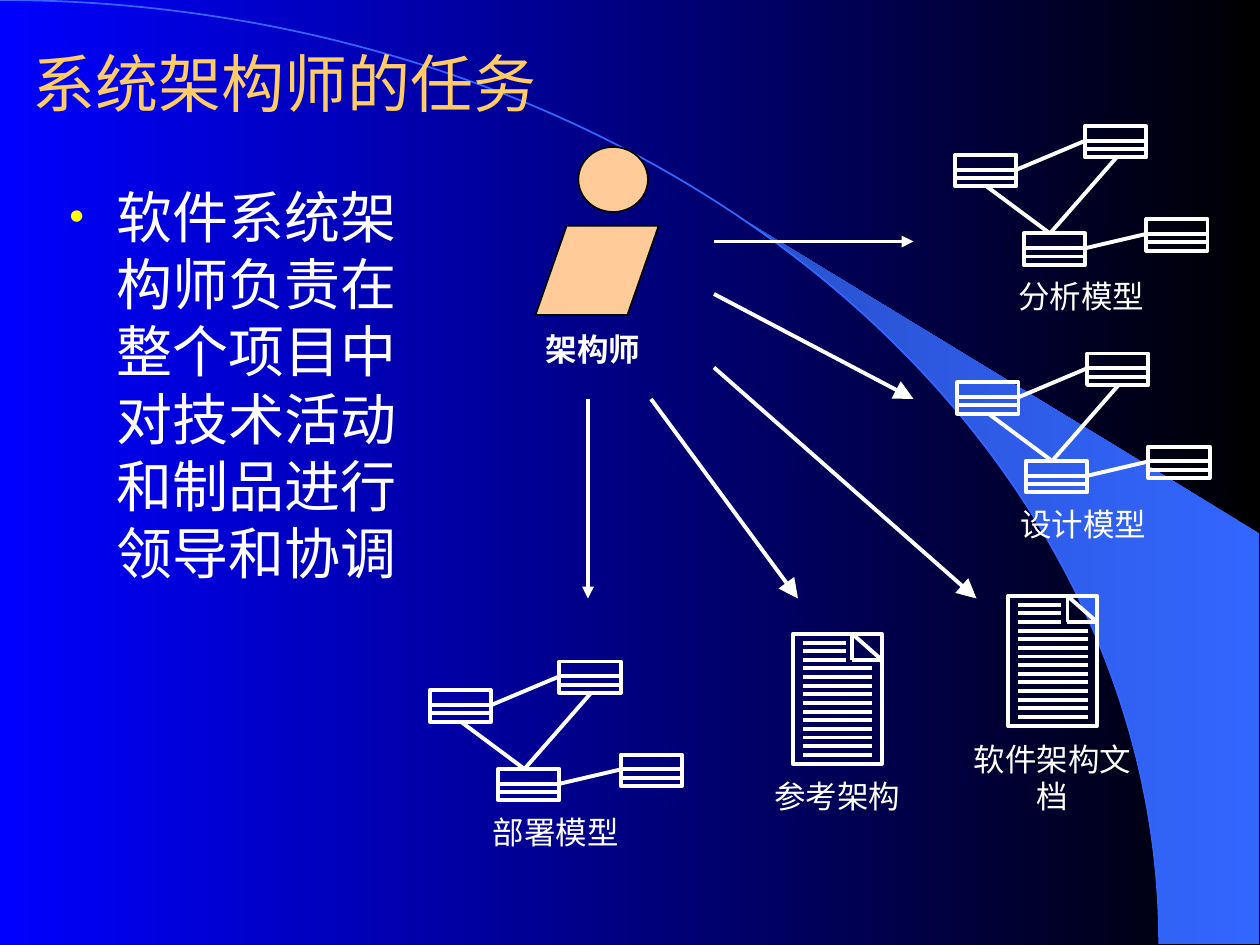
from math import asin, cos, pi, sin

from lxml.etree import SubElement
from pptx import Presentation
from pptx.dml.color import RGBColor
from pptx.enum.shapes import MSO_CONNECTOR, MSO_SHAPE
from pptx.enum.text import MSO_ANCHOR, MSO_AUTO_SIZE, PP_ALIGN
from pptx.oxml.ns import qn
from pptx.util import Pt

WHITE = RGBColor(0xFF, 0xFF, 0xFF)
BLACK = RGBColor(0x00, 0x00, 0x00)
BLUE = RGBColor(0x00, 0x00, 0xFF)
SKY = RGBColor(0x33, 0x66, 0xFF)
SKY_DARK = RGBColor(0x28, 0x51, 0xCC)
GOLD = RGBColor(0xFF, 0xCC, 0x66)
SKIN = RGBColor(0xFF, 0xCC, 0x99)
YELLOW = RGBColor(0xFF, 0xFF, 0x00)

SLIDE_WIDTH, SLIDE_HEIGHT = 720, 540
STROKE = 2.25
LABEL_WIDTH, LABEL_HEIGHT = 122, 28.8
MODEL_WIDTH = 144
NODE_WIDTH, NODE_HEIGHT, NODE_DIVIDERS = 35, 18, (8.5, 13.2)
PAGE_WIDTH, PAGE_HEIGHT = 51, 74.2


def set_gradient(fill, start, end):
    """Blend from start on the right to end on the left."""
    fill.gradient()
    fill.gradient_angle = 180
    for stop, color in zip(fill.gradient_stops, (start, end)):
        stop.color.rgb = color


def add_outline(shapes, kind, left, top, width, height, fill=None, line=WHITE, weight=STROKE):
    shape = shapes.add_shape(kind, Pt(left), Pt(top), Pt(width), Pt(height))
    shape.shadow.inherit = False
    if fill is None:
        shape.fill.background()
    else:
        shape.fill.solid()
        shape.fill.fore_color.rgb = fill
    shape.line.color.rgb = line
    shape.line.width = Pt(weight)
    return shape


def add_line(shapes, x1, y1, x2, y2, head=None):
    """Draw a white line; head is the arrowhead size, 'med' or 'lg'."""
    line = shapes.add_connector(MSO_CONNECTOR.STRAIGHT, Pt(x1), Pt(y1), Pt(x2), Pt(y2))
    line.line.color.rgb = WHITE
    line.line.width = Pt(STROKE)
    properties = line._element.spPr
    if head:
        SubElement(properties.find(qn("a:ln")), qn("a:tailEnd"), type="triangle", w=head, len=head)
    SubElement(properties, qn("a:effectLst"))


def add_label(shapes, text, center, top, bold=False):
    box = shapes.add_textbox(Pt(center - LABEL_WIDTH / 2), Pt(top), Pt(LABEL_WIDTH), Pt(LABEL_HEIGHT))
    box.text_frame.word_wrap = False
    paragraph = box.text_frame.paragraphs[0]
    paragraph.text = text
    paragraph.alignment = PP_ALIGN.CENTER
    paragraph.font.name = "Arial"
    paragraph.font.size = Pt(18)
    paragraph.font.bold = bold
    paragraph.font.color.rgb = WHITE


def place_text(placeholder, text, left, top, width, height, font, size, color):
    placeholder.left, placeholder.top = Pt(left), Pt(top)
    placeholder.width, placeholder.height = Pt(width), Pt(height)
    frame = placeholder.text_frame
    frame.word_wrap = True
    frame.auto_size = MSO_AUTO_SIZE.NONE
    frame.text = text
    paragraph = frame.paragraphs[0]
    paragraph.alignment = PP_ALIGN.LEFT
    paragraph.space_before = Pt(0)
    paragraph.font.name = font
    paragraph.font.size = Pt(size)
    paragraph.font.color.rgb = color
    return frame


def add_title(slide, left, top, width, height):
    frame = place_text(slide.shapes.title, "系统架构师的任务", left, top, width, height, "Arial Narrow", 36, GOLD)
    frame.vertical_anchor = MSO_ANCHOR.MIDDLE


def add_body(slide, left, top, width, height):
    text = "软件系统架构师负责在整个项目中对技术活动和制品进行领导和协调"
    frame = place_text(slide.placeholders[1], text, left, top, width, height, "Times New Roman", 32, WHITE)
    frame.margin_left = frame.margin_right = Pt(8.6)
    frame.margin_top = frame.margin_bottom = Pt(4.3)
    properties = frame.paragraphs[0]._p.get_or_add_pPr()
    properties.set("marL", str(Pt(27)))
    properties.set("indent", str(Pt(-27)))
    bullet_color = SubElement(properties, qn("a:buClr"))
    SubElement(bullet_color, qn("a:srgbClr"), val=str(YELLOW))
    SubElement(properties, qn("a:buSzPct"), val="75000")
    SubElement(properties, qn("a:buChar"), char="•")
    # Bullet elements come before the default run properties.
    defaults = properties.find(qn("a:defRPr"))
    if defaults is not None:
        properties.append(defaults)


def add_backdrop(slide, radius_x, radius_y):
    """Draw the quarter ellipse and the wedge that lies outside it, behind everything else."""
    set_gradient(slide.background.fill, BLACK, BLUE)
    first_angle, steps = asin(424 / radius_x), 24
    angles = [first_angle + (pi / 2 - first_angle) * step / steps for step in range(steps + 1)]
    curve = [(Pt(radius_x * sin(angle)), Pt(radius_y * (1 - cos(angle)))) for angle in angles]
    builder = slide.shapes.build_freeform(*curve[0])
    builder.add_line_segments(curve[1:] + [(Pt(719.3), Pt(radius_y)), (Pt(719.3), Pt(304.6))])
    wedge = builder.convert_to_shape()
    wedge.shadow.inherit = False
    wedge.line.fill.background()
    set_gradient(wedge.fill, SKY, SKY_DARK)
    arc = add_outline(slide.shapes, MSO_SHAPE.ARC, -radius_x, 0, 2 * radius_x, 2 * radius_y, line=SKY, weight=1)
    tree = slide.shapes._spTree
    for position, shape in enumerate((wedge, arc), start=2):
        tree.insert(position, shape._element)


def add_architect(slide, left, top):
    shapes = slide.shapes.add_group_shape().shapes
    add_outline(shapes, MSO_SHAPE.OVAL, left + 24.5, top, 39.8, 37.2, SKIN, BLACK, 1)
    torso = add_outline(shapes, MSO_SHAPE.PARALLELOGRAM, left, top + 45, 70.4, 51, SKIN, BLACK, 1)
    torso.adjustments[0] = 0.35
    add_label(slide.shapes, "架构师", left + 33, top + 100.8, bold=True)


def add_model(slide, label, left, top):
    shapes = slide.shapes.add_group_shape().shapes
    nodes = [(left + x, top + y) for x, y in ((0, 16.5), (74.2, 0), (39.2, 61.4), (109.2, 53.2))]
    for x, y in nodes:
        add_outline(shapes, MSO_SHAPE.RECTANGLE, x, y, NODE_WIDTH, NODE_HEIGHT)
        for offset in NODE_DIVIDERS:
            add_line(shapes, x, y + offset, x + NODE_WIDTH, y + offset)
    west, north, south, east = nodes
    for (x1, y1), (x2, y2) in ((west, north), (south, east)):
        add_line(shapes, x1 + NODE_WIDTH, y1 + NODE_DIVIDERS[0], x2, y2 + NODE_DIVIDERS[0])
    for x, y in (west, north):
        add_line(shapes, south[0] + 15, south[1], x + NODE_WIDTH / 2 + 0.5, y + NODE_HEIGHT)
    add_label(shapes, label, left + MODEL_WIDTH / 2, top + 82.8)


def add_document(slide, label, left, top):
    shapes = slide.shapes.add_group_shape().shapes
    add_outline(shapes, MSO_SHAPE.RECTANGLE, left, top, PAGE_WIDTH, PAGE_HEIGHT)
    fold_left, fold_bottom, right = left + 34, top + 15, left + PAGE_WIDTH
    add_line(shapes, fold_left, top, right, fold_bottom)
    add_line(shapes, fold_left, top, fold_left, fold_bottom)
    add_line(shapes, right, fold_bottom, fold_left, fold_bottom)
    for row in range(14):
        y = top + 5 + 4.93 * row
        add_line(shapes, left + 5.8, y, left + (30.5 if row < 3 else 45.5), y)
    add_label(shapes, label, left + PAGE_WIDTH / 2, top + 78.5)


def main():
    presentation = Presentation()
    presentation.slide_width, presentation.slide_height = Pt(SLIDE_WIDTH), Pt(SLIDE_HEIGHT)
    slide = presentation.slides.add_slide(presentation.slide_layouts[1])
    add_backdrop(slide, 662.4, 539.3)
    add_title(slide, 11.5, 26, 708, 42)
    add_body(slide, 31, 100, 228, 397)
    add_architect(slide, 306, 84)
    add_model(slide, "分析模型", 545.8, 72)
    add_model(slide, "设计模型", 547, 202)
    add_model(slide, "部署模型", 245.5, 378)
    add_document(slide, "软件架构文档", 576, 340.6)
    add_document(slide, "参考架构", 453, 362.2)
    for x1, y1, x2, y2, head in (
        (336, 228, 336, 342, "med"),
        (408, 138, 522, 138, "med"),
        (408, 168, 522, 228, "lg"),
        (408, 210, 558, 342, "lg"),
        (372, 228, 456, 342, "lg"),
    ):
        add_line(slide.shapes, x1, y1, x2, y2, head)
    presentation.save("out.pptx")


if __name__ == "__main__":
    main()
